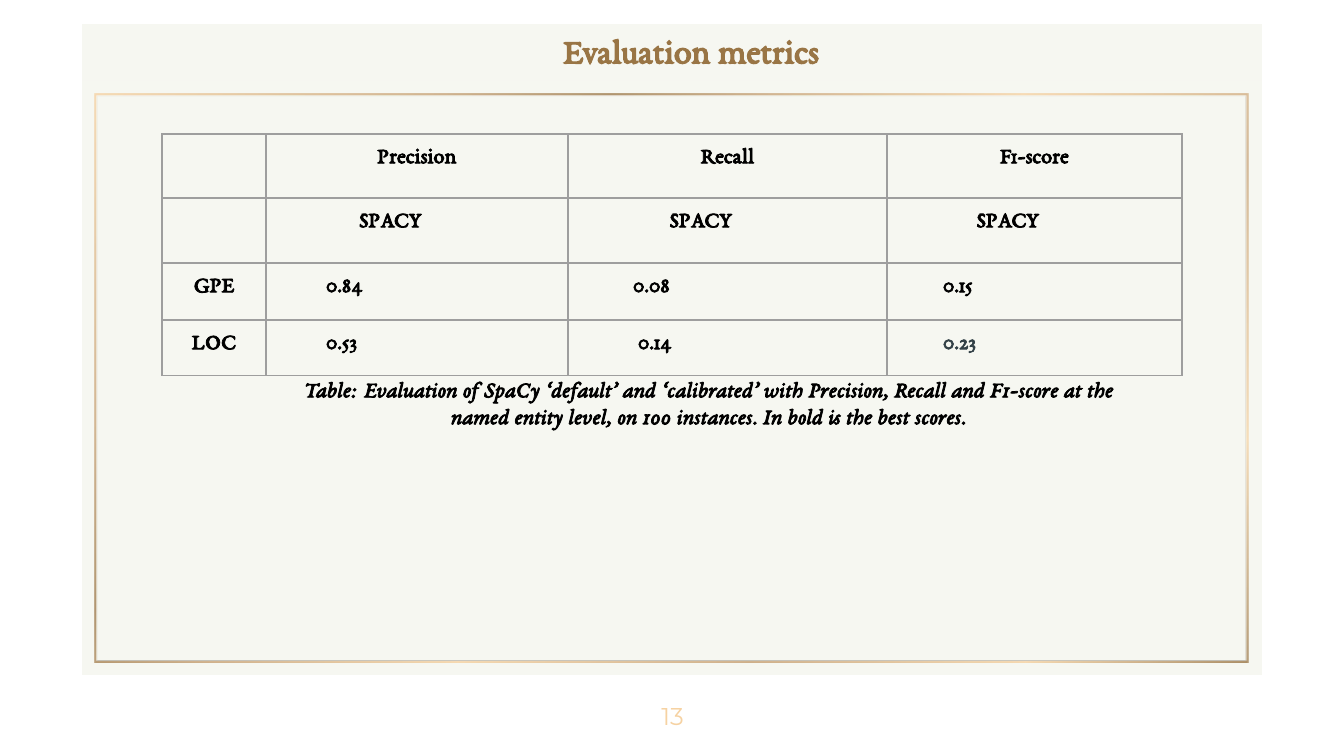
from dataclasses import dataclass

from lxml.etree import SubElement
from pptx import Presentation
from pptx.dml.color import RGBColor
from pptx.enum.shapes import MSO_SHAPE
from pptx.enum.text import MSO_ANCHOR, PP_ALIGN
from pptx.oxml import parse_xml
from pptx.oxml.ns import nsdecls, qn
from pptx.util import Emu, Pt

EMU_PER_PX = 914400 / 134.4


@dataclass(frozen=True)
class Theme:
    """Colours, fonts and type sizes of the slide."""

    panel: str = "F5F6F0"
    gold: str = "997545"
    bronze: str = "C59F72"
    cream: str = "F6D2A2"
    ink: str = "000000"
    slate: str = "334147"
    grid: str = "9E9E9E"
    serif: str = "EB Garamond"
    sans: str = "Montserrat"
    title_size: int = 19
    body_size: int = 12
    number_size: int = 13
    padding: int = 13


THEME = Theme()
COLUMNS = [104, 302, 319, 295]
ROWS = [64, 65, 57, 56]
GRADIENT = [
    (0, THEME.cream), (20, THEME.bronze), (30, THEME.gold), (39, THEME.bronze),
    (54, THEME.cream), (71, THEME.bronze), (87, THEME.cream), (100, THEME.gold),
]
BODY = {"name": THEME.serif, "size": THEME.body_size, "color": THEME.ink, "bold": True}


def px(length):
    """Turn pixels into EMU."""
    return Emu(round(length * EMU_PER_PX))


def apply_format(target, values):
    """Set each named attribute on the target."""
    for name, value in values.items():
        setattr(target, name, value)


def write_text(frame, text, style, align=PP_ALIGN.CENTER, spacing=1.0):
    """Write one styled paragraph into a text frame."""
    para = frame.paragraphs[0]
    apply_format(para, {"alignment": align, "line_spacing": spacing})
    span = para.add_run()
    span.text = text
    values = {**style, "size": Pt(style["size"])}
    span.font.color.rgb = RGBColor.from_string(values.pop("color"))
    apply_format(span.font, values)


def add_text(page, place, text, style, inset=0, anchor=MSO_ANCHOR.MIDDLE, spacing=1.0):
    """Add a wrapped text box with centred text."""
    frame = page.shapes.add_textbox(*map(px, place)).text_frame
    sides = ("left", "top", "right", "bottom")
    apply_format(frame, {f"margin_{side}": px(inset) for side in sides})
    apply_format(frame, {"word_wrap": True, "vertical_anchor": anchor})
    write_text(frame, text, style, spacing=spacing)


def add_plain_shape(page, kind, place):
    """Add a preset shape without line or shadow."""
    shape = page.shapes.add_shape(kind, *map(px, place))
    shape.shadow.inherit = False
    shape.line.fill.background()
    return shape


def add_panel(page, place):
    """Add a translucent background panel."""
    panel = add_plain_shape(page, MSO_SHAPE.RECTANGLE, place)
    panel.fill.solid()
    panel.fill.fore_color.rgb = RGBColor.from_string(THEME.panel)
    color = panel.fill._xPr.find(qn("a:solidFill"))[0]
    SubElement(color, qn("a:alpha"), val="87000")


def add_gold_frame(page, place):
    """Add a thin frame with a diagonal gold gradient."""
    border = add_plain_shape(page, MSO_SHAPE.FRAME, place)
    border.adjustments[0] = 0.004
    stops = "".join(
        f'<a:gs pos="{position * 1000}"><a:srgbClr val="{color}">'
        f'<a:alpha val="80000"/></a:srgbClr></a:gs>'
        for position, color in GRADIENT
    )
    border.fill.gradient()
    old = border.fill._xPr.find(qn("a:gradFill"))
    old.getparent().replace(old, parse_xml(
        f'<a:gradFill {nsdecls("a")}><a:gsLst>{stops}</a:gsLst>'
        f'<a:lin ang="2700000" scaled="0"/></a:gradFill>'
    ))


def add_borders(cell):
    """Draw a thin grid line on every side of a cell."""
    properties = cell._tc.get_or_add_tcPr()
    for index, side in enumerate(("lnL", "lnR", "lnT", "lnB")):
        properties.insert(index, parse_xml(
            f'<a:{side} {nsdecls("a")} w="{Pt(0.75)}"><a:solidFill>'
            f'<a:srgbClr val="{THEME.grid}"/></a:solidFill></a:{side}>'
        ))


def fill_cell(cell, text="", left=0, right=0, align=PP_ALIGN.CENTER, color=THEME.ink):
    """Fill a cell with text, indented from its left or right side."""
    padding = THEME.padding if text else 0
    apply_format(cell, {
        "margin_left": px(padding + left),
        "margin_right": px(padding + right),
        "margin_top": px(padding),
        "margin_bottom": px(padding),
    })
    cell.fill.background()
    add_borders(cell)
    if text:
        write_text(cell.text_frame, text, {**BODY, "color": color}, align)


def score(text, indent, color=THEME.ink):
    """Describe a left-aligned score cell."""
    return {"text": text, "left": indent, "align": PP_ALIGN.LEFT, "color": color}


def add_score_table(page, left, top):
    """Add the table of precision, recall and F1 scores."""
    content = [
        [{}] + [{"text": name} for name in ("Precision", "Recall", "F1-score")],
        [{}] + [{"text": "SPACY", "right": 54}] * 3,
        [{"text": "GPE"}, score("0.84", 47), score("0.08", 52), score("0.15", 43)],
        [{"text": "LOC"}, score("0.53", 47), score("0.14", 57),
         score("0.23", 43, THEME.slate)],
    ]
    place = (left, top, sum(COLUMNS), sum(ROWS))
    table = page.shapes.add_table(len(ROWS), len(COLUMNS), *map(px, place)).table
    apply_format(table, {"first_row": False, "horz_banding": False})
    for column, width in zip(table.columns, COLUMNS):
        column.width = px(width)
    for row, height, entries in zip(table.rows, ROWS, content):
        row.height = px(height)
        for cell, entry in zip(row.cells, entries):
            fill_cell(cell, **entry)


def main():
    """Build the evaluation metrics slide."""
    deck = Presentation()
    apply_format(deck, {"slide_width": px(1344), "slide_height": px(756)})
    page = deck.slides.add_slide(deck.slide_layouts[6])
    add_panel(page, (82, 81, 1180, 594))
    add_gold_frame(page, (95, 94, 1154, 568))
    add_text(page, (632, 675, 81, 81), "13",
             {"name": THEME.sans, "size": THEME.number_size, "color": THEME.cream})
    add_panel(page, (82, 24, 1180, 57))
    add_text(page, (172, 1, 1038, 102), "Evaluation metrics",
             {**BODY, "size": THEME.title_size, "color": THEME.gold}, spacing=0.9)
    add_score_table(page, 162, 134)
    add_text(page, (274, 362, 870, 82),
             "Table: Evaluation of SpaCy ‘default’ and ‘calibrated’ with Precision, "
             "Recall and F1-score at the named entity level, on 100 instances. "
             "In bold is the best scores.",
             {**BODY, "italic": True}, THEME.padding, MSO_ANCHOR.TOP)
    deck.save("out.pptx")


if __name__ == "__main__":
    main()
